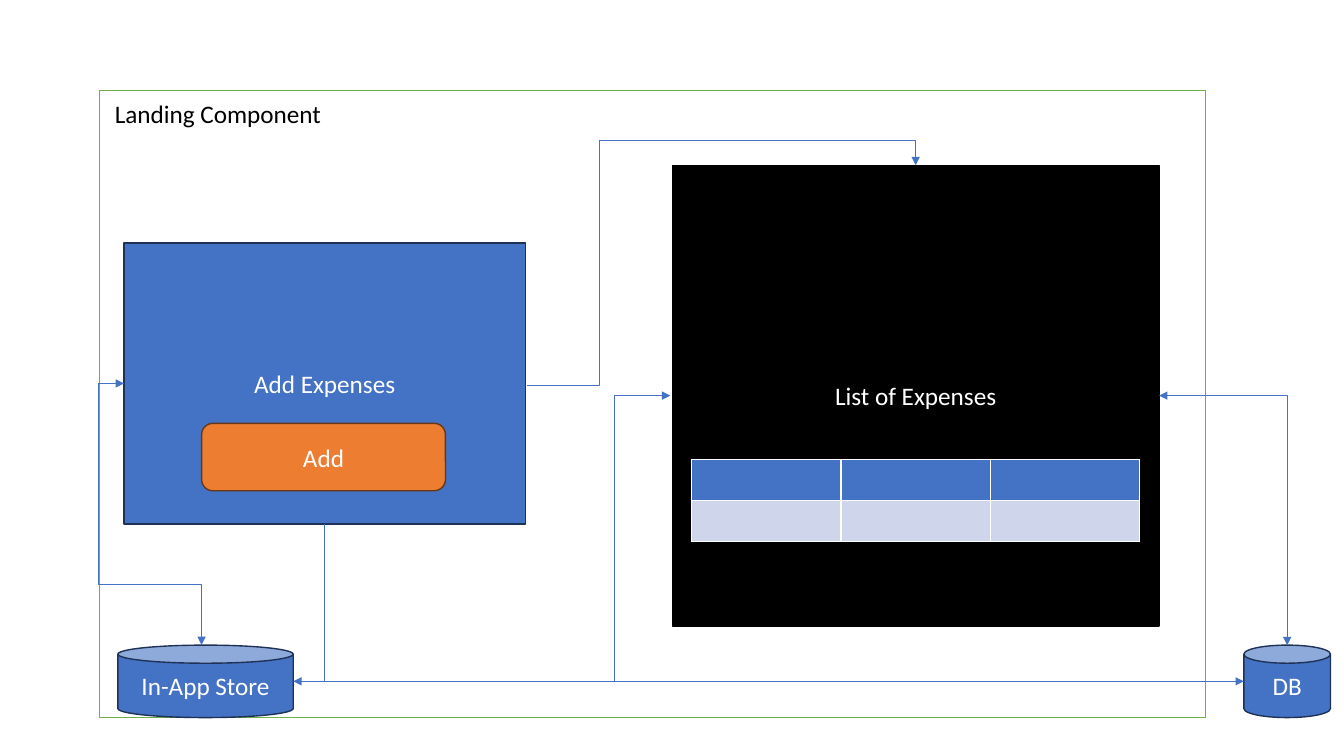
from pptx import Presentation
from pptx.dml.color import RGBColor
from pptx.enum import shapes, text
from pptx.oxml import ns
from pptx.util import Pt
from lxml import etree

FONT = "Calibri"
BLUE, NAVY, WHITE, BLACK = "4472C4", "1E3256", "FFFFFF", "000000"
SHAPE = shapes.MSO_SHAPE

# left, top, width, height in points
LANDING = (71.3, 64.8, 789.8, 447.8)
FORM = (88.6, 173.5, 286.6, 200.9)
EXPENSES = (480.2, 118.1, 347.8, 329)
STORE = (84.2, 460.8, 125.3, 51.8)
DATABASE = (888.5, 460.8, 61.9, 51.8)


def color(value):
    return RGBColor.from_string(value)


def points(values):
    return [Pt(value) for value in values]


def side(box, name):
    """Middle of one side of a box."""
    left, top, width, height = box
    return {
        "top": (left + width / 2, top),
        "left": (left, top + height / 2),
        "bottom": (left + width / 2, top + height),
        "right": (left + width, top + height / 2),
    }[name]


def write(shape, label, ink):
    para = shape.text_frame.paragraphs[0]
    para.text = label
    for span in para.runs:
        span.font.name, span.font.size = FONT, Pt(18)
        span.font.color.rgb = color(ink)
    return para


def add_block(page, kind, box, fill, line, label=""):
    shape = page.shapes.add_shape(kind, *points(box))
    shape.shadow.inherit = False
    shape.fill.solid()
    shape.fill.fore_color.rgb = color(fill)
    shape.line.color.rgb = color(line)
    shape.line.width = Pt(1)
    if label:
        shape.text_frame.vertical_anchor = text.MSO_ANCHOR.MIDDLE
        write(shape, label, WHITE).alignment = text.PP_ALIGN.CENTER


def add_elbow(page, start, end, bends=(), arrows=("headEnd", "tailEnd")):
    """Bent line leaving start sideways; bends are the x, then y, of its inner legs."""
    line = page.shapes.add_connector(shapes.MSO_CONNECTOR.ELBOW, *points(start + end))
    line.line.color.rgb = color(BLUE)
    line.line.width = Pt(0.5)
    properties = line.element.spPr
    geometry = properties.find(ns.qn("a:prstGeom"))
    geometry.set("prst", f"bentConnector{len(bends) + 2}")
    guides = geometry.find(ns.qn("a:avLst"))
    if guides is None:
        guides = etree.SubElement(geometry, ns.qn("a:avLst"))
    for number, (bend, first, last) in enumerate(zip(bends, start, end), 1):
        ratio = round((bend - first) / (last - first) * 100000)
        etree.SubElement(guides, ns.qn("a:gd"), name=f"adj{number}", fmla=f"val {ratio}")
    outline = properties.find(ns.qn("a:ln"))
    for arrow in arrows:
        etree.SubElement(outline, ns.qn(f"a:{arrow}"), type="triangle")
    etree.SubElement(properties, ns.qn("a:effectLst"))


def add_landing(page, box):
    add_block(page, SHAPE.RECTANGLE, box, WHITE, "70AD47")
    left, top = box[:2]
    title = page.shapes.add_textbox(*points((left + 3.6, top + 2.2, 195, 28.8)))
    title.text_frame.word_wrap = True
    write(title, "Landing Component", BLACK)


def add_form(page, box):
    add_block(page, SHAPE.RECTANGLE, box, BLUE, NAVY, "Add Expenses")
    button = (box[0] + 55.4, box[1] + 128.9, 174.2, 48.2)
    add_block(page, SHAPE.ROUNDED_RECTANGLE, button, "ED7D31", "683715", "Add")


def add_expenses(page, box):
    add_block(page, SHAPE.RECTANGLE, box, BLACK, BLACK, "List of Expenses")
    left, top, width, _ = box
    area = points((left + 14, top + 210.2, width - 28, 58.4))
    table = page.shapes.add_table(2, 3, *area).table
    for row, fill in zip(table.rows, (BLUE, "CFD5EA")):
        for cell in row.cells:
            cell.fill.solid()
            cell.fill.fore_color.rgb = color(fill)


def add_flows(page):
    add_elbow(page, side(DATABASE, "left"), side(FORM, "bottom"), arrows=("headEnd",))
    form_right, form_middle = side(FORM, "right")
    add_elbow(page, (form_right + 1.4, form_middle + 1), side(EXPENSES, "top"),
              (428.4, 100.1), ("tailEnd",))
    add_elbow(page, side(EXPENSES, "right"), side(DATABASE, "top"))
    store_top = (144, STORE[1])
    add_elbow(page, side(FORM, "left"), store_top, (70.6, 417.6))
    list_left, list_middle = side(EXPENSES, "left")
    add_elbow(page, side(STORE, "right"), (list_left - 1.4, list_middle), (439.2,))


def main():
    deck = Presentation()
    deck.slide_width, deck.slide_height = Pt(960), Pt(540)
    page = deck.slides.add_slide(deck.slide_layouts[6])
    add_landing(page, LANDING)
    add_form(page, FORM)
    add_expenses(page, EXPENSES)
    add_block(page, SHAPE.CAN, DATABASE, BLUE, NAVY, "DB")
    add_block(page, SHAPE.CAN, STORE, BLUE, NAVY, "In-App Store")
    add_flows(page)
    deck.save("out.pptx")


if __name__ == "__main__":
    main()
